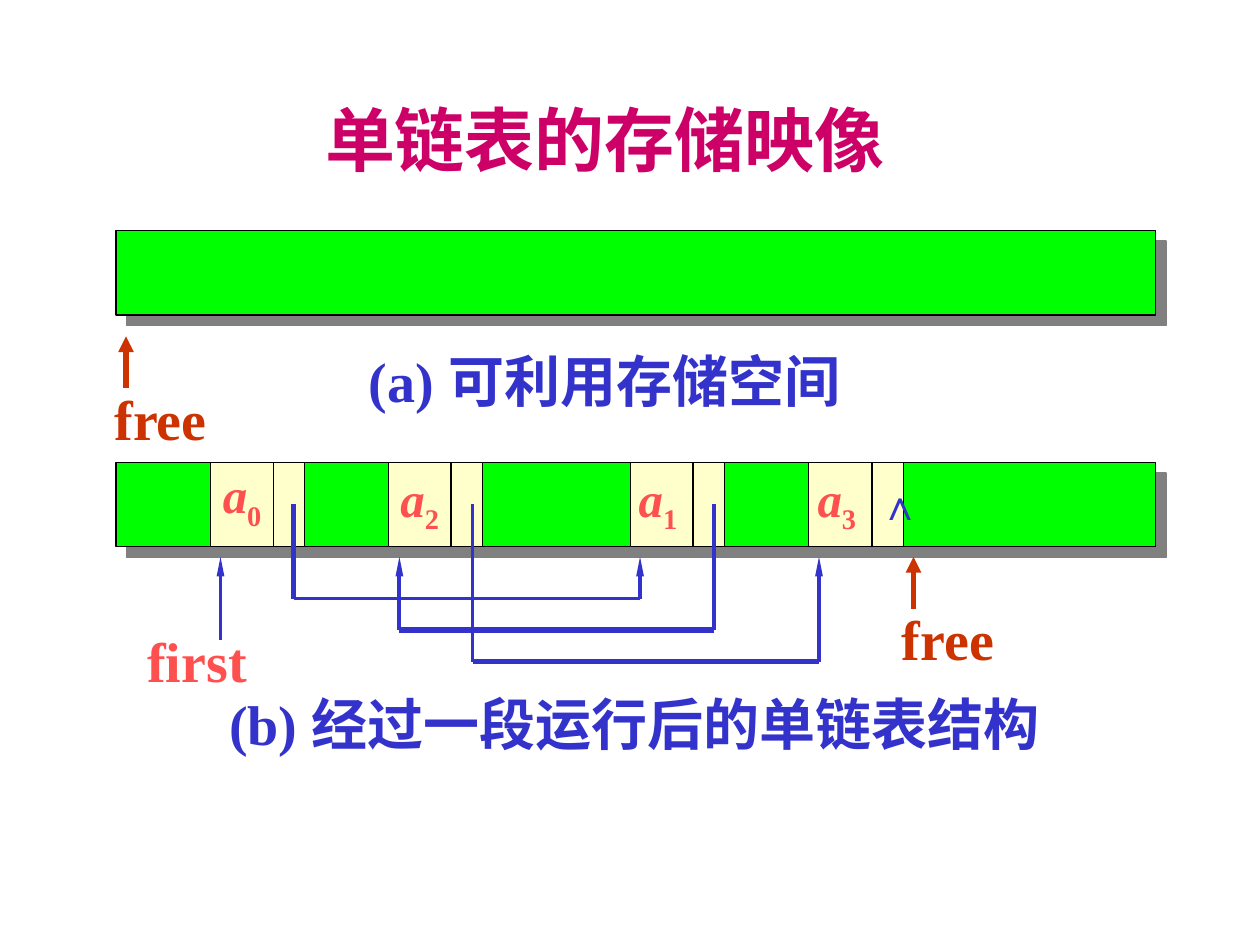
from lxml.etree import SubElement
from pptx import Presentation
from pptx.dml.color import RGBColor
from pptx.enum.shapes import MSO_CONNECTOR, MSO_SHAPE
from pptx.enum.text import MSO_AUTO_SIZE
from pptx.oxml.ns import qn
from pptx.util import Inches, Pt

COLORS = {"title": "CC0066", "free": "CC3300", "link": "3333CC", "node": "FF5050",
          "memory": "00FF00", "cell": "FFFFCC", "edge": "000000", "shadow": "808080"}
SERIF, CJK = "Times New Roman", "Noto Sans CJK SC"

# Content: labels and captions (text, left, top, width, height, colour)
LABELS = [
    ("free", 0.81, 3, 0.94, 0.64, "free"),
    ("(a) 可利用存储空间", 2.83, 2.7, 4.05, 0.64, "link"),
    ("free", 7.06, 4.75, 0.94, 0.64, "free"),
    ("first", 1.07, 4.92, 0.99, 0.64, "node"),
    ("(b) 经过一段运行后的单链表结构", 1.72, 5.42, 6.74, 0.64, "link"),
]
# Nodes in memory: index -> (cell left, label left, label top)
NODES = {"0": (1.67, 1.67, 3.64), "2": (3.08, 3.08, 3.67),
         "1": (5, 4.97, 3.67), "3": (6.42, 6.39, 3.67)}
# Links (from x, to x, depth, widths of drop, run and rise)
LINKS = [
    (2.33, 5.08, 4.75, (3, 2.25, 2.25)),
    (5.67, 3.17, 5, (2.25, 3, 2.25)),
    (3.75, 6.5, 5.25, (2.25, 3, 2.25)),
]
# Single pointers (x, from y, to y, colour, width, (head width, head length))
POINTERS = [
    (1, 3.08, 2.67, "free", 3, ("med", "med")),
    (1.75, 5.08, 4.42, "link", 2.25, ("sm", "lg")),
    (7.25, 4.83, 4.42, "free", 3, ("med", "med")),
]
BAR_X, BAR_W, BAR_H = 0.92, 8.25, 0.67
BAR_TOPS = (1.83, 3.67)
ROW_TOP = BAR_TOPS[1]
CELL_W, DATA_W = 0.75, 0.5

prs = Presentation()
prs.slide_width, prs.slide_height = Inches(10), Inches(7.5)
s = prs.slides.add_slide(prs.slide_layouts[6])


def color(name):
    return RGBColor.from_string(COLORS[name])


def add_text(runs, x, y, w, h, fill, size=32, font=SERIF, wrap=False, inset=(0.1, 0.05)):
    """Runs are (text, extra run attributes) pairs, or one plain string."""
    tf = s.shapes.add_textbox(Inches(x), Inches(y), Inches(w), Inches(h)).text_frame
    tf.word_wrap = wrap
    tf.auto_size = MSO_AUTO_SIZE.SHAPE_TO_FIT_TEXT
    tf.margin_left = tf.margin_right = Inches(inset[0])
    tf.margin_top = tf.margin_bottom = Inches(inset[1])
    p = tf.paragraphs[0]
    for text, extra in [(runs, {})] if isinstance(runs, str) else runs:
        r = p.add_run()
        r.text = text
        r.font.size, r.font.bold, r.font.name = Pt(size), True, font
        r.font.color.rgb = color(fill)
        rPr = r.font._element
        SubElement(rPr, qn("a:ea")).set("typeface", CJK)
        for key, value in extra.items():
            rPr.set(key, value)


def add_box(x, y, w, h, fill, line_width, shadow=False):
    sp = s.shapes.add_shape(MSO_SHAPE.RECTANGLE, Inches(x), Inches(y), Inches(w), Inches(h))
    sp.shadow.inherit = False
    sp.fill.solid()
    sp.fill.fore_color.rgb = color(fill)
    sp.line.color.rgb = color("edge")
    sp.line.width = Pt(line_width)
    if shadow:
        effects = sp._element.spPr.find(qn("a:effectLst"))
        outer = SubElement(effects, qn("a:outerShdw"), dist=str(Pt(8.5)),
                           dir=str(45 * 60000), algn="ctr", rotWithShape="0")
        SubElement(outer, qn("a:srgbClr"), val=COLORS["shadow"])


def add_line(x1, y1, x2, y2, stroke, width, head=None):
    c = s.shapes.add_connector(MSO_CONNECTOR.STRAIGHT, Inches(x1), Inches(y1),
                               Inches(x2), Inches(y2))
    c.line.color.rgb = color(stroke)
    c.line.width = Pt(width)
    if head:
        SubElement(c.line._get_or_add_ln(), qn("a:tailEnd"), type="triangle",
                   w=head[0], len=head[1])
    SubElement(c._element.spPr, qn("a:effectLst"))


# Title
add_text("单链表的存储映像", 2.46, 0.71, 4.69, 0.79, "title", size=40, inset=(0.12, 0.06))

# Memory bars
for top in BAR_TOPS:
    add_box(BAR_X, top, BAR_W, BAR_H, "memory", 0.75, shadow=True)

# List nodes: cell, divider, label
for index, (x, label_x, label_y) in NODES.items():
    add_box(x, ROW_TOP, CELL_W, BAR_H, "cell", 0.5)
    add_line(x + DATA_W, ROW_TOP, x + DATA_W, ROW_TOP + BAR_H, "edge", 0.75)
    add_text([("a", {"i": "1"}), (index, {"baseline": "-25000"})],
             label_x, label_y, 0.53, 0.63, "node", size=28, wrap=True)
add_text("∧", 6.88, 3.75, 0.31, 0.5, "link", size=24, font="Arial", wrap=True)

# Links between nodes
for x1, x2, depth, (drop, run, rise) in LINKS:
    add_line(x1, 4, x1, depth, "link", drop)
    add_line(x1, depth, x2, depth, "link", run)
    add_line(x2, depth, x2, 4.42, "link", rise, head=("sm", "lg"))

# Pointers, labels and captions
for x, y1, y2, stroke, width, head in POINTERS:
    add_line(x, y1, x, y2, stroke, width, head)
for label in LABELS:
    add_text(*label)

prs.save("out.pptx")
